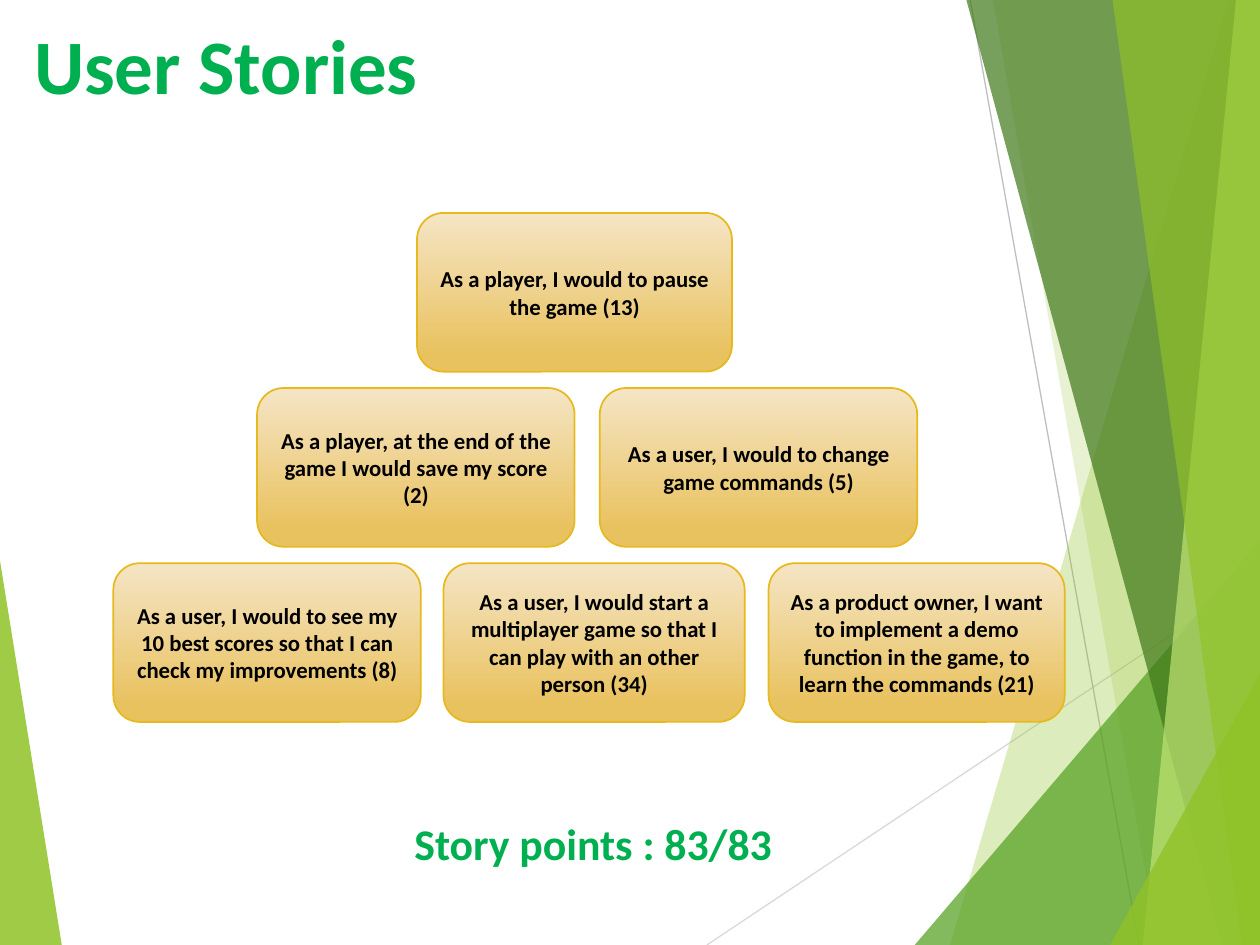
from pptx import Presentation
from pptx import util as u
from pptx.dml.color import RGBColor
from pptx.enum import shapes, text
from pptx.oxml.ns import qn
from lxml import etree

WIDE, HIGH = 10, 7.5
FONT, GREEN = "Calibri", "00B050"
HEAD = ("User Stories", (0.17, 0.09, 3.27, 0.67))
TOTAL = ("Story points : 83/83", (3.19, 6.43, 3.55, 0.67))
CARD_TOP, CARD_HIGH, ROW_STEP = 1.69, 1.26, 1.39
ROWS = [
    [(3.31, 2.5, "As a player, I would to pause the game (13)")],
    [(2.04, 2.52, "As a player, at the end of the game I would save my score (2)"),
     (4.76, 2.52, "As a user, I would to change game commands (5)")],
    [(0.9, 2.44, "As a user, I would to see my 10 best scores so that I can "
                 "check my improvements (8)"),
     (3.52, 2.39, "As a user, I would start a multiplayer game so that I can "
                  "play with an other person (34)"),
     (6.1, 2.35, "As a product owner, I want to implement a demo function in "
                 "the game, to learn the commands (21)")],
]
LEAF = ("90C226", 85, [(0, 4.45), (0.49, HIGH), (0, HIGH)])
RAYS = [("D9D9D9", (5.61, HIGH), (WIDE, 4.57)),
        ("BFBFBF", (7.7, 0), (9.04, HIGH))]
BANDS = [
    ("90C226", 30, 9.75, 0, 7.54),
    ("90C226", 20, 7.88, 0, 9.19),
    ("54A021", 72, WIDE, 4.29, 7.26),
    ("3F7819", 70, 7.67, 0, 9.7),
    ("C0E474", 70, 9.81, 0, 9.07),
    ("90C226", 65, 8.83, 0, 9.86),
    ("90C226", 80, WIDE, 5.35, 8.81),
]


def tint(code):
    return RGBColor.from_string(code)


def box(vals):
    return [u.Inches(v) for v in vals]


def write(shape, words, size, color="000000", align="LEFT", anchor="TOP"):
    frame = shape.text_frame
    frame.word_wrap = True
    frame.auto_size = text.MSO_AUTO_SIZE.NONE
    frame.vertical_anchor = getattr(text.MSO_ANCHOR, anchor)
    para = frame.paragraphs[0]
    para.alignment = getattr(text.PP_ALIGN, align)
    run = para.add_run()
    run.text = words
    font = run.font
    font.name, font.size, font.bold = FONT, u.Pt(size), True
    font.color.rgb = tint(color)


def facet(slide, color, alpha, points):
    first, *rest = [box(point) for point in points]
    pen = slide.shapes.build_freeform(*first)
    pen.add_line_segments(rest, close=True)
    shape = pen.convert_to_shape()
    shape.shadow.inherit = False
    shape.line.fill.background()
    shape.fill.solid()
    shape.fill.fore_color.rgb = tint(color)
    clr = shape._element.spPr.find(qn("a:solidFill"))[0]
    etree.SubElement(clr, qn("a:alpha")).set("val", str(alpha * 1000))


def ray(slide, color, start, end):
    line = slide.shapes.add_connector(
        shapes.MSO_CONNECTOR.STRAIGHT, *box(start + end))
    line.line.color.rgb = tint(color)
    line.line.width = u.Pt(0.75)
    etree.SubElement(line._element.spPr, qn("a:effectLst"))


def card(slide, left, top, width, words):
    shape = slide.shapes.add_shape(
        shapes.MSO_SHAPE.ROUNDED_RECTANGLE, *box((left, top, width, CARD_HIGH)))
    shape.shadow.inherit = False
    shape.fill.gradient()
    shape.fill.gradient_angle = 270
    stops = zip(shape.fill.gradient_stops, [(0, "F5E5C5"), (0.88, "E9C260")])
    for stop, (place, color) in stops:
        stop.position = place
        stop.color.rgb = tint(color)
    shape.line.color.rgb = tint("E6B91E")
    shape.line.width = u.Pt(1)
    write(shape, words, 13, align="CENTER", anchor="MIDDLE")


deck = Presentation()
deck.slide_width, deck.slide_height = box((WIDE, HIGH))
slide = deck.slides.add_slide(deck.slide_layouts[5])

facet(slide, *LEAF)
for item in RAYS:
    ray(slide, *item)
for color, alpha, x, y, foot in BANDS:
    edge = [(x, y), (foot, HIGH), (WIDE, HIGH)]
    facet(slide, color, alpha, edge + ([(WIDE, y)] if x < WIDE else []))

for row, cards in enumerate(ROWS):
    for left, width, words in cards:
        card(slide, left, CARD_TOP + row * ROW_STEP, width, words)

title = slide.shapes.title
title.left, title.top, title.width, title.height = box(HEAD[1])
write(title, HEAD[0], 44, color=GREEN)
write(slide.shapes.add_textbox(*box(TOTAL[1])), TOTAL[0], 25, color=GREEN)

deck.save("out.pptx")
